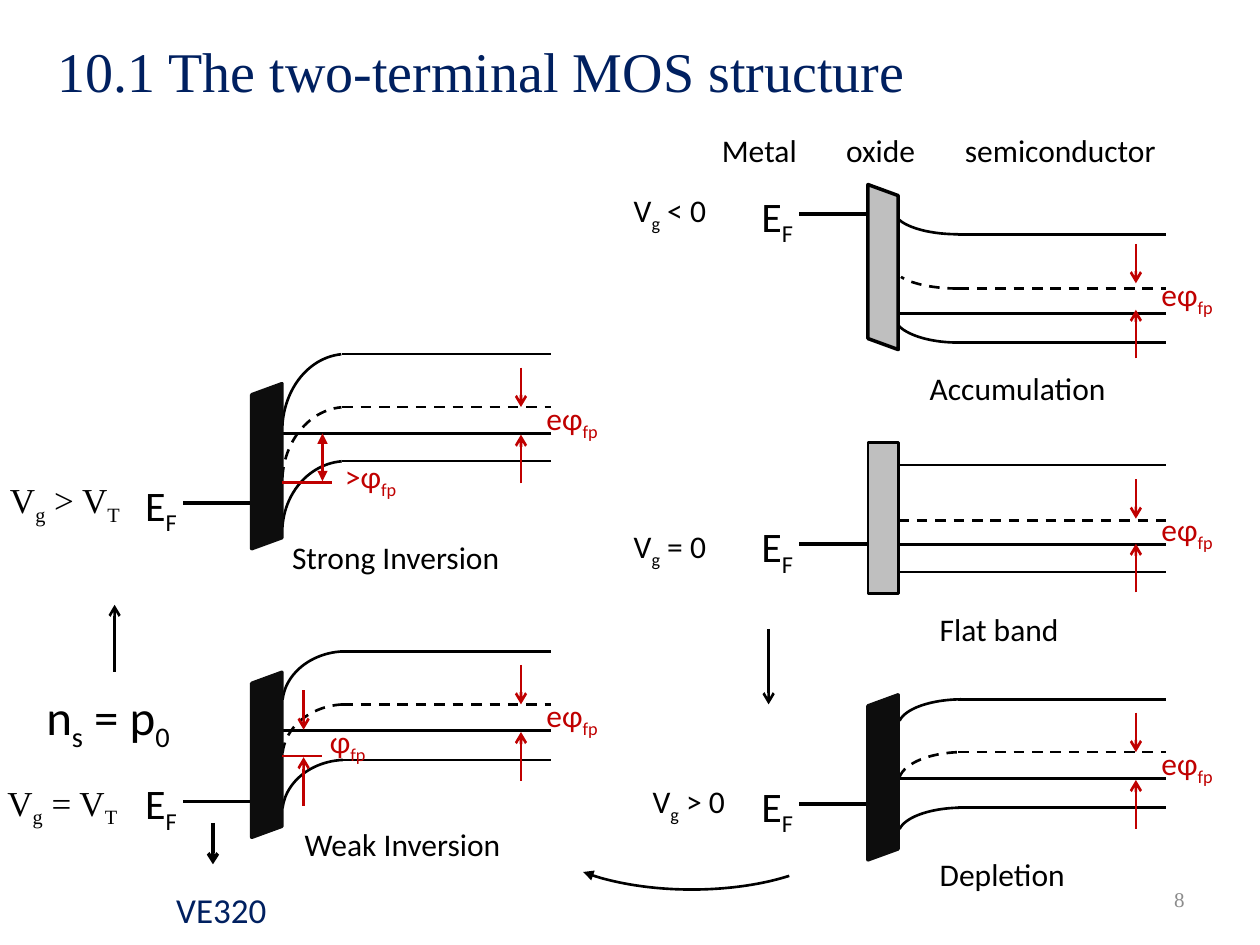
"""Build the slide of MOS band diagrams under five gate voltages."""
import dataclasses

import pptx
import pptx.dml.color
import pptx.enum.dml
import pptx.enum.shapes
import pptx.enum.text
import pptx.oxml.ns
import pptx.util
from lxml import etree

Pt = pptx.util.Pt
SHAPE = pptx.enum.shapes.MSO_SHAPE
ALIGN = pptx.enum.text.PP_ALIGN
ANCHOR = pptx.enum.text.MSO_ANCHOR


@dataclasses.dataclass(frozen=True)
class Theme:
    """Colours, fonts, type sizes and line widths."""
    ink: str = "000000"
    navy: str = "002060"
    red: str = "C00000"
    grey: str = "8C8C8C"
    oxide: str = "BFBFBF"
    dark_oxide: str = "0D0D0D"
    paper: str = "FFFFFF"
    sans: str = "Calibri"
    serif: str = "Times New Roman"
    title: int = 32
    relation: int = 28
    level: int = 24
    voltage: int = 20
    body: int = 18
    page_number: int = 12
    thin: float = 1.5
    thick: float = 2


@dataclasses.dataclass(frozen=True)
class Band:
    """Energy levels, bending and labels of one band diagram."""
    interface: float
    end: float
    levels: tuple
    fermi: float
    metal: float
    oxide_middle: float
    caption: tuple
    voltage: tuple
    bends: tuple = ()
    upward: bool = False
    lift: float = 0
    voltage_style: dict = dataclasses.field(default_factory=dict)


class SlideWriter:
    """Draw styled elements on the current slide."""

    def __init__(self, theme, slide):
        """Keep the theme and the slide."""
        self.theme = theme
        self.slide = slide

    def rgb(self, colour):
        """Turn a hex value into a colour."""
        return pptx.dml.color.RGBColor.from_string(colour)

    def stroke(self, line, colour, width, dashed=False, **ends):
        """Style a line and its arrowheads."""
        line.color.rgb = self.rgb(colour)
        line.width = Pt(width)
        if dashed:
            line.dash_style = pptx.enum.dml.MSO_LINE.DASH
        for end in ("head", "tail"):
            if end in ends:
                tag = pptx.oxml.ns.qn(f"a:{end}End")
                etree.SubElement(line._get_or_add_ln(), tag, type=ends[end])

    def text(self, content, left, top, width, height, size=None, colour=None,
             font=None, align=ALIGN.LEFT, anchor=ANCHOR.TOP, fill=None):
        """Add a text box where bars set off subscripts."""
        box = self.slide.shapes.add_textbox(*map(Pt, (left, top, width, height)))
        if fill:
            box.fill.solid()
            box.fill.fore_color.rgb = self.rgb(fill)
        frame = box.text_frame
        for name, value in {"word_wrap": True, "vertical_anchor": anchor}.items():
            setattr(frame, name, value)
        paragraph = frame.paragraphs[0]
        paragraph.alignment = align
        style = {"size": Pt(size or self.theme.body), "name": font or self.theme.sans}
        for index, part in enumerate(content.split("|")):
            if not part:
                continue
            run = paragraph.add_run()
            run.text = part
            for name, value in style.items():
                setattr(run.font, name, value)
            run.font.color.rgb = self.rgb(colour or self.theme.ink)
            if index % 2:
                run._r.get_or_add_rPr().set("baseline", "-25000")

    def line(self, x1, y1, x2, y2, colour=None, width=None, **style):
        """Add a straight line or arrow."""
        kind = pptx.enum.shapes.MSO_CONNECTOR.STRAIGHT
        connector = self.slide.shapes.add_connector(kind, *map(Pt, (x1, y1, x2, y2)))
        self.stroke(connector.line, colour or self.theme.ink,
                    width or self.theme.thin, **style)
        etree.SubElement(connector._element.spPr, pptx.oxml.ns.qn("a:effectLst"))

    def shape(self, kind, left, top, width, height, fill=None, colour=None,
              weight=None, adjust=(), rotation=0, flipped=False, **style):
        """Add a preset shape."""
        item = self.slide.shapes.add_shape(kind, *map(Pt, (left, top, width, height)))
        item.shadow.inherit = False
        item.rotation = rotation
        for index, value in enumerate(adjust):
            item.adjustments[index] = value
        if fill:
            item.fill.solid()
            item.fill.fore_color.rgb = self.rgb(fill)
        else:
            item.fill.background()
        self.stroke(item.line, colour or self.theme.ink,
                    weight or self.theme.thin, **style)
        if flipped:
            item._element.spPr.xfrm.set("flipH", "1")

    def red_arrows(self, x, upper, lower):
        """Add two arrows that point at the levels from outside."""
        for start, tip in ((upper - 22.5, upper), (lower + 28.5, lower + 0.7)):
            self.line(x, start, x, tip, self.theme.red, tail="arrow")

    def oxide(self, band):
        """Add the oxide, slanted when the bands bend."""
        if not band.bends:
            self.shape(SHAPE.RECTANGLE, band.interface - 17.3, band.oxide_middle - 43.2,
                       17.3, 86.4, self.theme.oxide)
            return
        fill, colour = ((self.theme.oxide, self.theme.ink) if band.upward
                        else (self.theme.dark_oxide,) * 2)
        self.shape(SHAPE.PARALLELOGRAM, band.interface - 55.9, band.oxide_middle - 8.65,
                   94.3, 17.3, fill, colour, self.theme.thick, (0.364,),
                   270 if band.upward else 90, not band.upward)

    def band(self, band):
        """Add one band diagram with its labels."""
        x, theme = band.interface, self.theme
        for index, level in enumerate(band.levels):
            dashed = index == 1
            self.line(x + 34.3 if band.bends else x, level, band.end, level, dashed=dashed)
            if band.bends:
                depth, angle = band.bends[index]
                left, top, start = ((x - 2.9, level - depth, 53.4) if band.upward
                                    else (x, level, 110.73))
                self.shape(SHAPE.ARC, left, top, 73.4, depth,
                           adjust=(start, angle), dashed=dashed)
        self.line(x, band.fermi, band.end, band.fermi)
        self.red_arrows(band.end - 16.9, band.levels[1] - band.lift, band.fermi - band.lift)
        self.text("eφ|fp", band.end - 9.4, band.levels[1] - 8.3 - band.lift, 50, 28.8,
                  colour=theme.red)
        self.line(x - 56.7, band.metal, x - 16.9, band.metal, width=theme.thick)
        self.text("E|F", x - 85.4, band.metal - 17.1, 45.4, 36, theme.level)
        self.text(*band.caption, 28.8)
        self.text(*band.voltage, 31.7, **band.voltage_style)
        self.oxide(band)


def main():
    """Compose and save the slide."""
    deck = pptx.Presentation()
    deck.slide_width, deck.slide_height = Pt(720), Pt(540)
    theme = Theme()
    writer = SlideWriter(theme, deck.slides.add_slide(deck.slide_layouts[6]))

    writer.text("VE320", 93.6, 504, 70.6, 31.7, theme.voltage, theme.navy, fill=theme.paper)
    writer.text("8", 516.2, 499.7, 167.8, 28.8, theme.page_number, theme.grey,
                theme.serif, ALIGN.RIGHT, ANCHOR.MIDDLE)
    writer.text("10.1 The two-terminal MOS structure", 25.9, 9.4, 648, 61.2,
                theme.title, theme.navy, theme.serif, anchor=ANCHOR.MIDDLE)
    for material, left, width in (("Metal", 405.4, 64), ("oxide", 476.4, 62),
                                  ("semiconductor", 544.3, 139)):
        writer.text(material, left, 71.3, width, 28.8)

    right, left = (513.4, 666), (161.3, 314.6)
    serif = {"size": theme.voltage, "font": theme.serif}
    bands = (
        Band(*right, (265.7, 297.4, 326.9), 311, 311, 295.9,
             ("Flat band", 529.9, 344.9, 90.7), ("V|g| = 0", 355, 297.4, 61.2), lift=1),
        Band(*right, (133.9, 164.9, 195.8), 179.3, 122.4, 152.6,
             ("Accumulation", 524.2, 207.4, 141.8), ("V|g| < 0", 355, 105.8, 61.2),
             ((28.1, 104.38), (25.2, 101.75), (31.7, 101.83)), True, 3),
        Band(*right, (399.6, 429.8, 461.5), 445, 459.4, 444.2,
             ("Depletion", 529.9, 485.3, 90), ("V|g| > 0", 365.8, 443.5, 61.2),
             ((30.2, 159.7), (34.6, 159.7), (30.2, 159.7))),
        Band(*left, (372.2, 402.5, 434.2), 417.6, 457.9, 431.3,
             ("Weak Inversion", 167, 468, 130.3), ("V|g| = V|T", -2.9, 442.8, 79.2),
             ((61.2, 159.7),) * 3, voltage_style=serif),
        Band(*left, (202.3, 232.6, 263.5), 247.7, 287.3, 266.4,
             ("Strong Inversion", 159.8, 303.8, 137.5), ("V|g| > V|T", -1.4, 270, 81.4),
             ((87.8, 159.7), (86.4, 159.7), (81.4, 159.7)), voltage_style=serif),
    )
    for band in bands:
        writer.band(band)

    writer.line(161.3, 432, 184.3, 432, theme.red)
    writer.red_arrows(173.5, 417, 432)
    writer.text("φ|fp", 181.4, 409, 38.2, 28.8, colour=theme.red)
    writer.line(161.3, 275.8, 190, 275.8, theme.red)
    writer.line(184.3, 275, 184.3, 247.7, theme.red, head="triangle", tail="triangle")
    writer.text(">φ|fp", 190, 257.8, 46.8, 28.8, colour=theme.red)

    writer.text("n|s| = p|0", 19.4, 388.8, 90.7, 41, theme.relation)
    writer.line(65.5, 383.8, 65.5, 345.6, tail="arrow")
    writer.line(439.2, 359.3, 439.2, 402.5, tail="arrow")
    writer.line(121.7, 470.2, 121.7, 493.9, width=theme.thick, tail="arrow")
    writer.shape(SHAPE.ARC, 305.3, 435.6, 180, 72.7, adjust=(16.27, 94.19), tail="triangle")
    deck.save("out.pptx")


if __name__ == "__main__":
    main()
